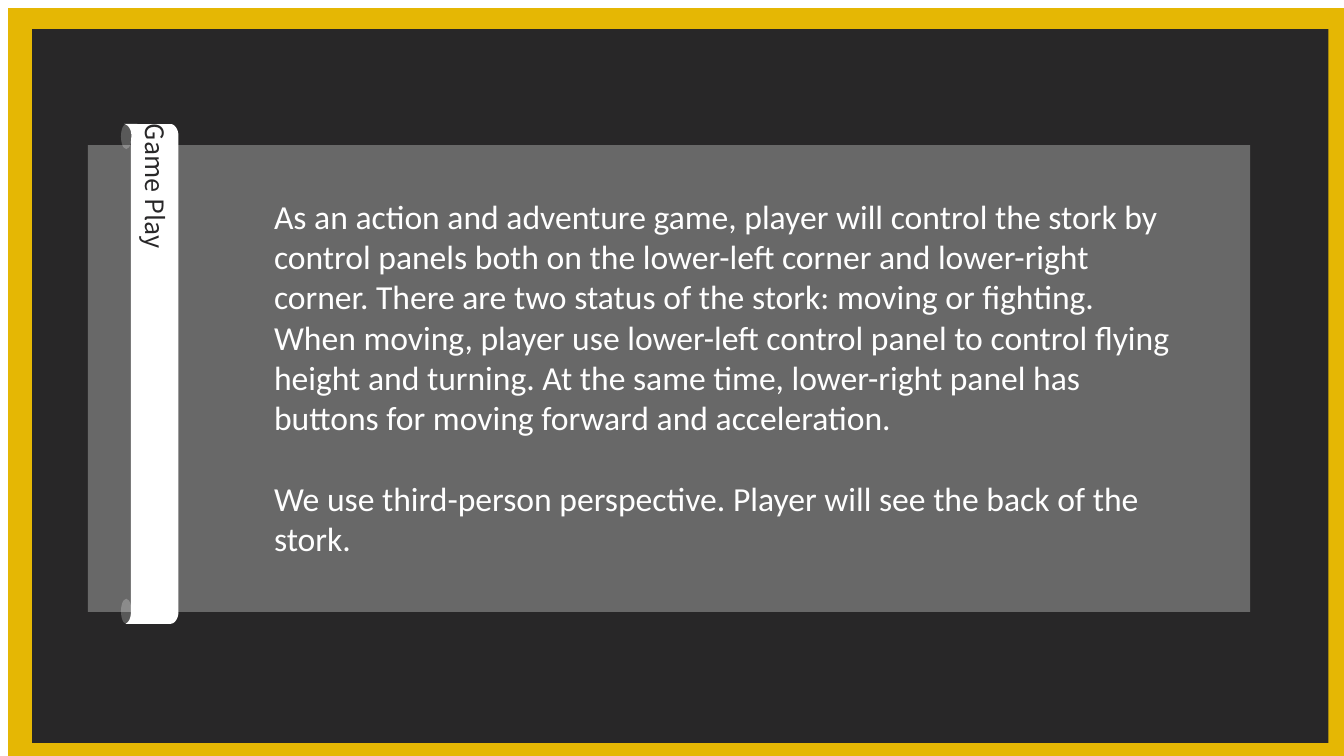
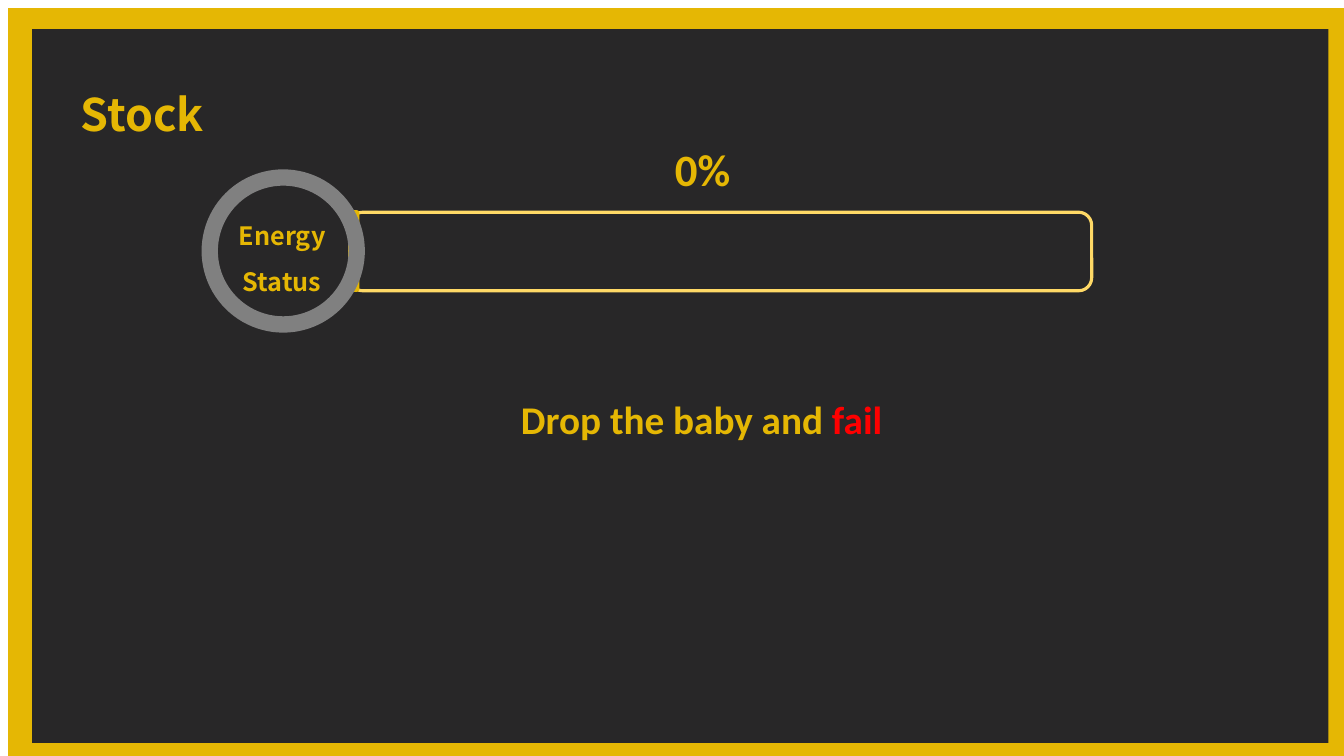
import pptx
import pptx.util
import pptx.dml.color
import pptx.enum.shapes
import pptx.enum.text
import lxml.etree

GOLD, PALE_GOLD, DARK = "E5B704", "FFD966", "282728"
WHITE, GREY, SHADE, RED = "FFFFFF", "808080", "595959", "FF0000"
SANS, CJK = "Calibri", "Noto Sans CJK SC"
SLIDE_W, SLIDE_H = pptx.util.Inches(13.33), pptx.util.Inches(7.5)
SHAPE = pptx.enum.shapes.MSO_SHAPE
ALIGN = pptx.enum.text.PP_ALIGN


def rgb(color):
    return pptx.dml.color.RGBColor.from_string(color)


def point(x, y):
    """Turn percentages of the slide's width and height into lengths."""
    return round(SLIDE_W * x / 100), round(SLIDE_H * y / 100)


def box(x, y, w, h):
    return point(x, y) + point(w, h)


def paint(sp, fill=None, line=None, alpha=None):
    """Set fill and line; alpha is the opacity in percent."""
    sp.shadow.inherit = False
    if fill:
        sp.fill.solid()
        sp.fill.fore_color.rgb = rgb(fill)
    else:
        sp.fill.background()
    if alpha is not None:
        color = sp.fill._xPr.find(".//" + pptx.oxml.ns.qn("a:srgbClr"))
        lxml.etree.SubElement(color, pptx.oxml.ns.qn("a:alpha"), val=str(alpha * 1000))
    if line:
        sp.line.color.rgb = rgb(line)
        sp.line.width = pptx.util.Pt(2.25)
    else:
        sp.line.fill.background()


def add_shape(s, kind, area, **style):
    sp = s.shapes.add_shape(kind, *box(*area))
    paint(sp, **style)
    return sp


def add_run(p, text, size, font, color, bold=False):
    r = p.add_run()
    r.text = text
    r.font.size = pptx.util.Pt(size)
    r.font.name = font
    r.font.bold = bold
    r.font.color.rgb = rgb(color)


def add_text(s, area, paragraphs, size, font, bold=True, align=ALIGN.CENTER,
             line_spacing=None, gap=0):
    """Each paragraph is a list of (text, colour) runs; gap parts paragraphs."""
    tf = s.shapes.add_textbox(*box(*area)).text_frame
    tf.word_wrap = True
    for i, runs in enumerate(paragraphs):
        p = tf.add_paragraph() if i else tf.paragraphs[0]
        p.alignment = align
        p.line_spacing = line_spacing
        if i:
            p.space_before = pptx.util.Pt(gap)
        for text, color in runs:
            add_run(p, text, size, font, color, bold)


def curve(*controls, steps=8):
    """Points along a cubic curve, without its first point."""
    for i in range(1, steps + 1):
        t = i / steps
        weights = ((1 - t) ** 3, 3 * t * (1 - t) ** 2, 3 * t * t * (1 - t), t ** 3)
        yield tuple(sum(w * c[axis] for w, c in zip(weights, controls)) for axis in (0, 1))


def add_ribbon(s, title):
    start = (9.75, 18.67)
    outline = [
        *curve(start, (9.97, 16.27), (9, 16.4), (9.3, 16.4)),
        *curve((12.68, 16.4), (12.98, 16.4), (13.28, 17.07), (13.28, 18)),
        *curve((13.28, 80.93), (13.28, 81.87), (12.98, 82.53), (12.68, 82.53)),
        *curve((9.45, 82.53), (9.08, 82.53), (9.75, 82.67), (9.75, 80.93)),
    ]
    builder = s.shapes.build_freeform(*point(*start))
    builder.add_line_segments([point(*xy) for xy in outline])
    sp = builder.convert_to_shape()
    paint(sp, WHITE)
    tf = sp.text_frame
    tf.margin_left = pptx.util.Inches(0.08)
    tf.margin_top = tf.margin_right = tf.margin_bottom = 0
    tf.vertical_anchor = pptx.enum.text.MSO_ANCHOR.MIDDLE
    tf._txBody.bodyPr.set("vert", "eaVert")
    p = tf.paragraphs[0]
    p.alignment = ALIGN.LEFT
    add_run(p, title, 18, CJK, DARK)


def add_framed_slide(prs):
    s = prs.slides.add_slide(prs.slide_layouts[6])
    add_shape(s, SHAPE.RECTANGLE, (0.6, 1.07, 99.4, 98.93), fill=GOLD)
    add_shape(s, SHAPE.RECTANGLE, (2.4, 3.87, 96.45, 94.4), fill=DARK)
    return s


def game_play_slide(prs):
    s = add_framed_slide(prs)
    for y in (79.2, 16.4):
        add_shape(s, SHAPE.OVAL, (9, y, 0.79, 3.33), fill=SHADE)
    add_shape(s, SHAPE.RECTANGLE, (6.53, 19.2, 86.48, 61.73), fill=WHITE, alpha=30)
    add_ribbon(s, "Game Play")
    controls = (
        "As an action and adventure game, player will control the stork by control "
        "panels both on the lower-left corner and lower-right corner. There are two "
        "status of the stork: moving or fighting. When moving, player use lower-left "
        "control panel to control flying height and turning. At the same time, "
        "lower-right panel has buttons for moving forward and acceleration."
    )
    view = "We use third-person perspective. Player will see the back of the stork."
    add_text(s, (19.65, 25.2, 68.4, 49.87), [[(controls, WHITE)], [(view, WHITE)]],
             24, SANS, bold=False, align=ALIGN.LEFT, gap=29)


def stock_slide(prs):
    s = add_framed_slide(prs)
    add_text(s, (4.2, 7.2, 12.75, 12), [[("Stock", GOLD)]], 32, CJK, line_spacing=1.5)
    add_text(s, (14.85, 26.53, 12.3, 13.33), [[("Energy Status", GOLD)]], 18, CJK,
             line_spacing=1.5)
    add_shape(s, SHAPE.ROUNDED_RECTANGLE, (26.03, 28.07, 55.2, 10.4), line=PALE_GOLD)
    add_shape(s, SHAPE.ROUNDED_RECTANGLE, (26.03, 28, 0.6, 10.4), fill=GOLD, line=GOLD)
    ring = add_shape(s, SHAPE.DONUT, (15, 22.4, 12.15, 21.6), fill=GREY)
    ring.adjustments[0] = 0.1
    add_text(s, (43.35, 18.13, 17.85, 8.53), [[("0%", GOLD)]], 32, SANS)
    add_text(s, (35.48, 51.6, 33.45, 7.6),
             [[("Drop the baby and ", GOLD), ("fail", RED)]], 28, SANS)


def main():
    prs = pptx.Presentation()
    prs.slide_width, prs.slide_height = SLIDE_W, SLIDE_H
    game_play_slide(prs)
    stock_slide(prs)
    prs.save("out.pptx")


if __name__ == "__main__":
    main()
